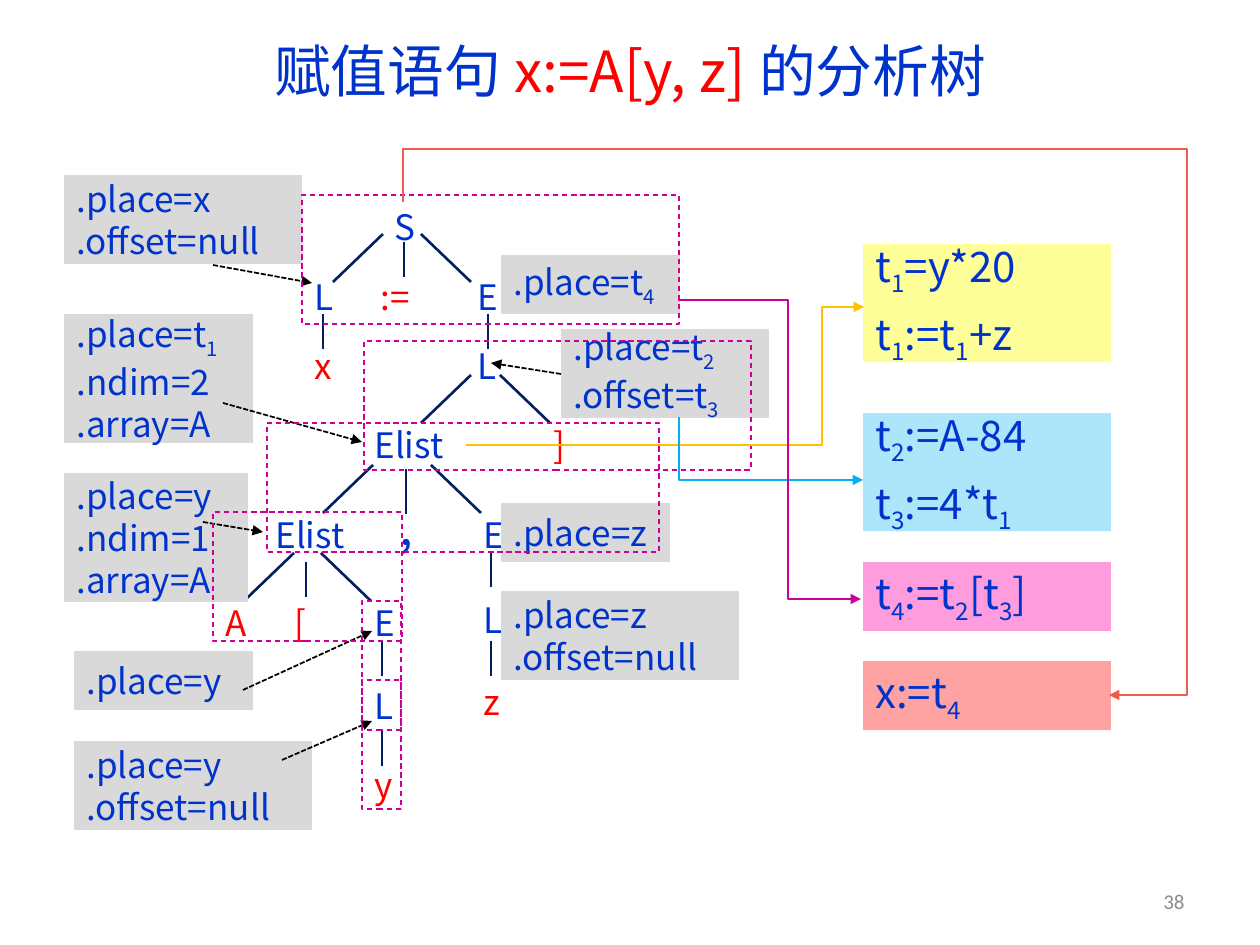
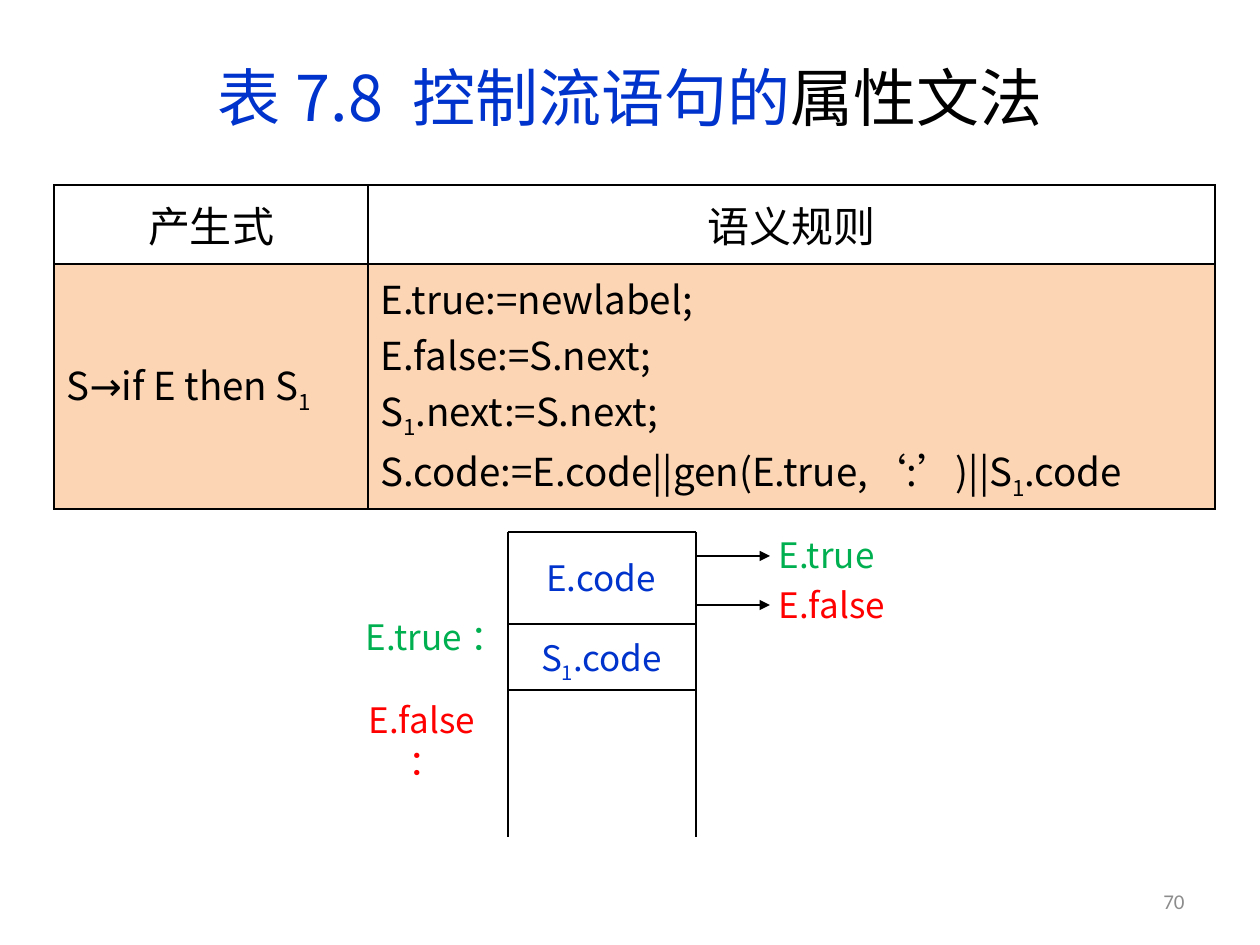
"""Build two compiler-course slides: an annotated parse tree and a control-flow grammar table."""
import pptx
import pptx.util
import pptx.dml.color
import pptx.enum.dml
import pptx.enum.shapes
import pptx.enum.text
import pptx.oxml.ns
import lxml.etree

PX = 914400 / 126
RGB = pptx.dml.color.RGBColor
BLUE = RGB(0x00, 0x33, 0xCC)
RED = RGB(0xFF, 0x00, 0x00)
GREEN = RGB(0x00, 0xB0, 0x50)
BLACK = RGB(0x00, 0x00, 0x00)
NAVY = RGB(0x00, 0x20, 0x60)
GREY = RGB(0xD9, 0xD9, 0xD9)
PAGE_GREY = RGB(0x8C, 0x8C, 0x8C)
MAGENTA = RGB(0xCC, 0x00, 0x99)
PINK = RGB(0xFE, 0x9C, 0xDD)
SALMON = RGB(0xFF, 0x61, 0x61)
CORAL = RGB(0xF2, 0x5C, 0x4C)
YELLOW = RGB(0xFF, 0xFF, 0x00)
AMBER = RGB(0xFF, 0xC0, 0x00)
SKY = RGB(0x00, 0xB0, 0xF0)
PEACH = RGB(0xFC, 0xD5, 0xB5)

BODY_FONT = "Noto Sans CJK SC"
TITLE_FONT = "Noto Sans CJK JP"
PAGE_FONT = "Calibri"
ARROW_FONT = "Comic Neue"

SHAPE = pptx.enum.shapes.MSO_SHAPE
DASH = pptx.enum.dml.MSO_LINE
ALIGN = pptx.enum.text.PP_ALIGN
ANCHOR = pptx.enum.text.MSO_ANCHOR
LEFT, CENTER, RIGHT = ALIGN.LEFT, ALIGN.CENTER, ALIGN.RIGHT

NODE_WIDTHS = {"Elist": 118, ":=": 69}
NODES = [
    ("x", 302, 334, RED), ("S", 382, 195, BLUE), ("L", 465, 334, BLUE),
    (":=", 368, 265, RED), ("L", 302, 265, BLUE), ("E", 465, 265, BLUE),
    ("Elist", 362, 413, BLUE), ("]", 541, 413, RED), (",", 387, 493, BLUE),
    ("E", 471, 503, BLUE), ("L", 471, 588, BLUE), ("z", 471, 670, RED),
    ("Elist", 263, 503, BLUE), ("y", 362, 753, RED), ("L", 362, 674, BLUE),
    ("E", 362, 591, BLUE), ("[", 282, 591, RED), ("A", 213, 591, RED),
]
BRANCHES = [(234, 383, 421), (375, 471, 500), (465, 373, 431), (553, 294, 321)]
STEMS = [(404, 242), (488, 314), (491, 552), (491, 641),
         (306, 562), (382, 641), (382, 731), (323, 314)]
ATTRIBUTE_HEIGHTS = {1: 59, 2: 89, 3: 129}
ATTRIBUTES = [
    (64, 175, 238, [".place=x", ".offset=null"]),
    (64, 314, 189, [".place=t_1", ".ndim=2", ".array=A"]),
    (64, 473, 184, [".place=y", ".ndim=1", ".array=A"]),
    (74, 651, 179, [".place=y"]),
    (74, 741, 238, [".place=y", ".offset=null"]),
    (501, 591, 238, [".place=z", ".offset=null"]),
    (501, 503, 169, [".place=z"]),
    (561, 329, 208, [".place=t_2", ".offset=t_3"]),
    (501, 255, 179, [".place=t_4"]),
]
POINTERS = [(213, 265, 312, 283), (223, 403, 362, 442), (203, 522, 263, 532),
            (243, 690, 372, 631), (282, 760, 372, 721), (561, 374, 491, 363)]
SCOPES = [(362, 680, 39), (362, 601, 39), (213, 512, 189),
          (267, 423, 392), (364, 341, 387), (302, 195, 377)]
CODE_HEIGHTS = {1: 69, 2: 118}
CODE = [
    (661, ["x:=t_4"], SALMON, 59, CORAL,
     [(403, 202), (403, 149), (1187, 149), (1187, 695), (1109, 695)]),
    (244, ["t_1=y*20", "t_1:=t_1+z"], YELLOW, 40, AMBER,
     [(466, 445), (822, 445), (822, 307), (864, 307)]),
    (413, ["t_2:=A-84", "t_3:=4*t_1"], SKY, 32, SKY,
     [(679, 417), (679, 480), (863, 480)]),
    (562, ["t_4:=t_2[t_3]"], PINK, 100, MAGENTA,
     [(678, 300), (788, 300), (788, 599), (861, 599)]),
]

TABLE_ROWS = [
    ["产生式", "语义规则"],
    [[[("S",), ("→", BLACK, ARROW_FONT), ("if E then S_1",)]],
     ["E.true:=newlabel;", "E.false:=S.next;", "S_1.next:=S.next;",
      "S.code:=E.code||gen(E.true,‘:’)||S_1.code"]],
]
FRAME_LINES = [(508, 532, 508, 837), (508, 532, 696, 532), (696, 532, 696, 837),
               (508, 690, 696, 690), (508, 624, 696, 624)]


def px(n):
    """Turn pixels into EMU."""
    return pptx.util.Emu(round(n * PX))


def sub(parent, tag, **attrs):
    """Append a DrawingML child element."""
    return lxml.etree.SubElement(parent, pptx.oxml.ns.qn(tag), **attrs)


def add_run(p, text, size, color, font, baseline=None):
    """Add one formatted run to a paragraph."""
    r = p.add_run()
    r.text = text
    r.font.size = pptx.util.Pt(size)
    r.font.color.rgb = color
    r.font.name = font
    rpr = r.font._element
    sub(rpr, "a:ea", typeface=font)
    if baseline:
        rpr.set("baseline", baseline)


def write(tf, text, size=20, color=BLUE, font=BODY_FONT, align=LEFT, spacing=None, after=0):
    """Fill a text frame with paragraphs, where _ lowers the next character."""
    tf.word_wrap = True
    for i, line in enumerate([text] if isinstance(text, str) else text):
        p = tf.paragraphs[0] if i == 0 else tf.add_paragraph()
        p.alignment = align
        p.space_after = pptx.util.Pt(after)
        if spacing:
            p.line_spacing = spacing
        for part in [(line,)] if isinstance(line, str) else line:
            run_color = part[1] if len(part) > 1 else color
            run_font = part[2] if len(part) > 2 else font
            plain, *lowered = part[0].split("_")
            if plain:
                add_run(p, plain, size, run_color, run_font)
            for piece in lowered:
                add_run(p, piece[0], size, run_color, run_font, "-25000")
                if piece[1:]:
                    add_run(p, piece[1:], size, run_color, run_font)


def add_label(s, x, y, w, h, text, inset=True, anchor=ANCHOR.MIDDLE, **fmt):
    """Add a text box."""
    tf = s.shapes.add_textbox(px(x), px(y), px(w), px(h)).text_frame
    tf.vertical_anchor = anchor
    if not inset:
        tf.margin_left = tf.margin_right = tf.margin_top = tf.margin_bottom = 0
    write(tf, text, **fmt)


def add_box(s, x, y, w, h, text=None, fill=None, alpha=100, kind=SHAPE.FLOWCHART_PROCESS, **fmt):
    """Add an outline-free box, optionally filled and lettered."""
    sp = s.shapes.add_shape(kind, px(x), px(y), px(w), px(h))
    sp.shadow.inherit = False
    sp.line.fill.background()
    if fill is None:
        sp.fill.background()
    else:
        sp.fill.solid()
        sp.fill.fore_color.rgb = fill
        if alpha < 100:
            clr = sp.element.spPr.find(".//" + pptx.oxml.ns.qn("a:srgbClr"))
            sub(clr, "a:alpha", val=str(alpha * 1000))
    if text:
        sp.text_frame.vertical_anchor = ANCHOR.MIDDLE
        write(sp.text_frame, text, **fmt)
    return sp


def style_line(sp, color, width, dash=None, arrow=False):
    """Set colour, weight, dash and arrowhead of an outline."""
    sp.line.color.rgb = color
    sp.line.width = pptx.util.Pt(width)
    if dash:
        sp.line.dash_style = dash
    if arrow:
        sub(sp.element.spPr.find(pptx.oxml.ns.qn("a:ln")), "a:tailEnd", type="triangle")


def add_line(s, x1, y1, x2, y2, color=BLACK, width=1.5, **style):
    """Add a straight connector."""
    sp = s.shapes.add_connector(pptx.enum.shapes.MSO_CONNECTOR.STRAIGHT,
                                px(x1), px(y1), px(x2), px(y2))
    style_line(sp, color, width, **style)
    sub(sp.element.spPr, "a:effectLst")


def add_wire(s, points, color):
    """Add an open polyline that ends in an arrowhead."""
    fb = s.shapes.build_freeform(*points[0], scale=PX)
    fb.add_line_segments(points[1:], close=False)
    sp = fb.convert_to_shape()
    sp.shadow.inherit = False
    sp.fill.background()
    style_line(sp, color, 0.75, arrow=True)


def add_grid(s, x, y, widths, heights, rows):
    """Add the bordered grammar table."""
    table = s.shapes.add_table(len(rows), len(widths), px(x), px(y),
                               px(sum(widths)), px(sum(heights))).table
    table.first_row = table.horz_banding = False
    for col, w in zip(table.columns, widths):
        col.width = px(w)
    for i, (row, h) in enumerate(zip(rows, heights)):
        table.rows[i].height = px(h)
        for j, text in enumerate(row):
            cell = table.cell(i, j)
            cell.vertical_anchor = ANCHOR.MIDDLE
            tcpr = cell._tc.get_or_add_tcPr()
            for side in "LRTB":
                ln = sub(tcpr, "a:ln" + side, w="12700")
                sub(sub(ln, "a:solidFill"), "a:srgbClr", val=str(BLACK))
            if i == 0:
                cell.fill.background()
                write(cell.text_frame, text, size=24, color=BLACK, align=CENTER)
            else:
                cell.fill.solid()
                cell.fill.fore_color.rgb = PEACH
                write(cell.text_frame, text, size=22, color=BLACK)


def add_slide(prs, title, size, top, height, number):
    """Add a blank slide with its title and page number."""
    s = prs.slides.add_slide(prs.slide_layouts[6])
    add_label(s, 63, top, 1134, height, [title], size=size, font=TITLE_FONT, align=CENTER)
    add_label(s, 903, 876, 294, 50, number, size=12, color=PAGE_GREY,
              font=PAGE_FONT, align=RIGHT)
    return s


def draw_tree(s):
    """Draw the nodes and edges of the parse tree."""
    for text, x, y, color in NODES:
        add_box(s, x, y, NODE_WIDTHS.get(text, 49), 59, text, color=color,
                size=28 if text == "," else 20, spacing=1.1, after=6)
    for y, left, right in BRANCHES:
        add_line(s, left, y, left - 50, y + 48, NAVY)
        add_line(s, right, y, right + 50, y + 48, NAVY)
    for x, y in STEMS:
        add_line(s, x, y, x, y + 35, NAVY)
    add_line(s, 406, 469, 406, 514, NAVY)


def draw_annotations(s):
    """Draw attributes, their pointers, reduction scopes and generated code."""
    for x, y, w, lines in ATTRIBUTES:
        add_box(s, x, y, w, ATTRIBUTE_HEIGHTS[len(lines)], lines, fill=GREY)
    for ends in POINTERS:
        add_line(s, *ends, width=1, dash=DASH.SQUARE_DOT, arrow=True)
    for x, y, w in SCOPES:
        sp = add_box(s, x, y, w, 129, kind=SHAPE.RECTANGLE)
        style_line(sp, MAGENTA, 0.75, dash=DASH.DASH)
    for y, lines, fill, alpha, wire_color, points in CODE:
        add_box(s, 863, y, 248, CODE_HEIGHTS[len(lines)], lines, fill=fill,
                alpha=alpha, size=24, after=6)
        add_wire(s, points, wire_color)


def draw_code_layout(s):
    """Draw the code layout of the if-then statement."""
    add_label(s, 535, 557, 132, 49, "E.code", inset=False, anchor=ANCHOR.TOP, align=CENTER)
    add_label(s, 522, 637, 159, 49, "S_1.code", inset=False, anchor=ANCHOR.TOP, align=CENTER)
    for ends in FRAME_LINES:
        add_line(s, *ends)
    for y in (556, 605):
        add_line(s, 696, y, 770, y, arrow=True)
    add_label(s, 766, 533, 161, 43, "E.true", color=GREEN)
    add_label(s, 766, 577, 161, 55, "E.false", color=RED)
    add_label(s, 343, 721, 166, 39, "E.false：", color=RED, align=CENTER)
    add_label(s, 353, 611, 165, 52, "E.true：", color=GREEN, align=CENTER)


def main():
    """Build and save the presentation."""
    prs = pptx.Presentation()
    prs.slide_width, prs.slide_height = px(1260), px(945)
    s = add_slide(prs, [("赋值语句",), ("x:=A[y, z]", RED), ("的分析树",)], 32.4, 26, 87, "38")
    draw_tree(s)
    draw_annotations(s)
    s = add_slide(prs, [("表7.8 控制流语句的",), ("属性文法", BLACK)], 36, 38, 117, "70")
    add_grid(s, 54, 185, [314, 847], [79, 245], TABLE_ROWS)
    draw_code_layout(s)
    prs.save("out.pptx")


if __name__ == "__main__":
    main()
